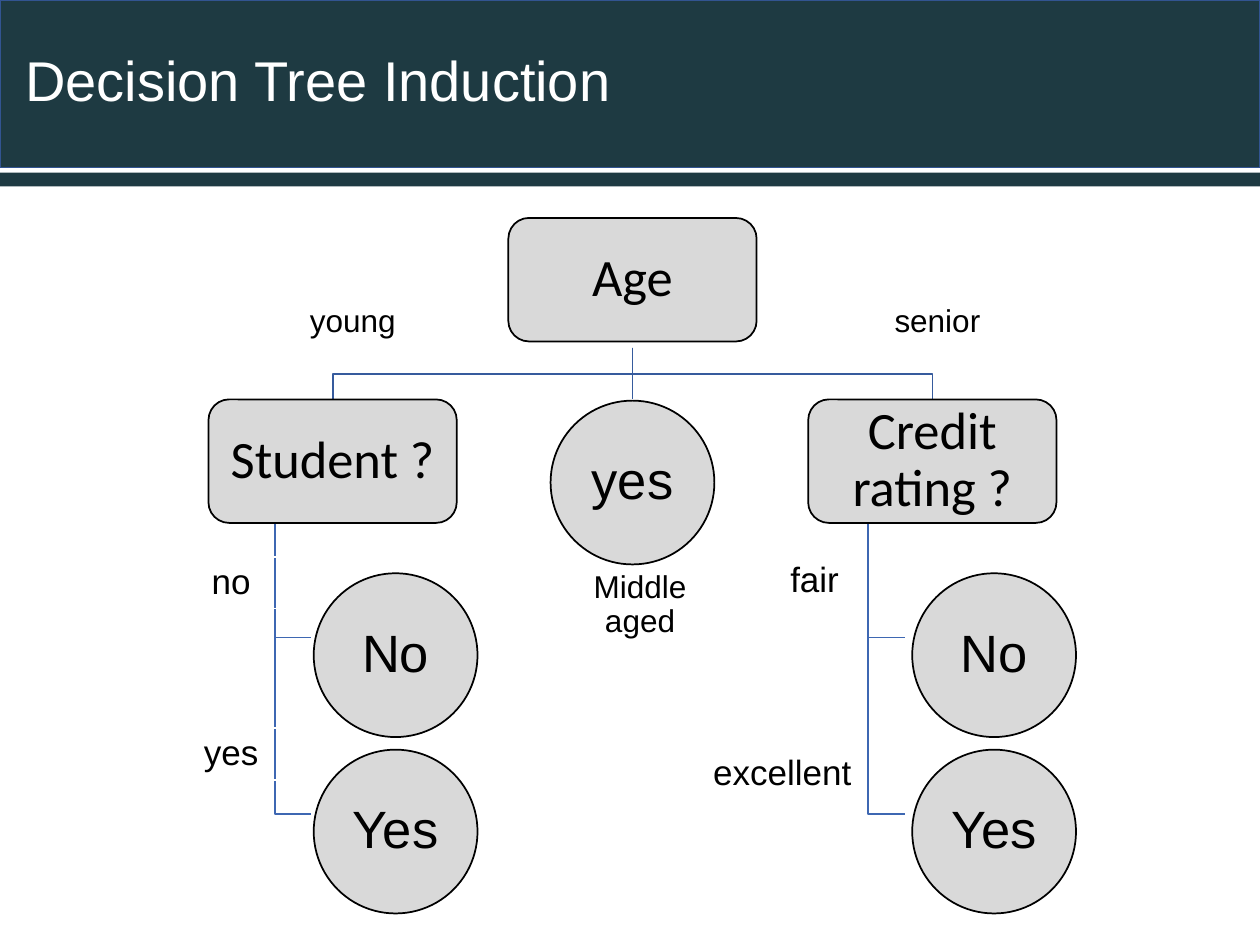
"""Build the decision tree induction slide."""
from lxml import etree
from pptx import Presentation
from pptx.dml.color import RGBColor
from pptx.enum.shapes import MSO_CONNECTOR, MSO_SHAPE
from pptx.enum.text import MSO_ANCHOR, MSO_AUTO_SIZE, PP_ALIGN
from pptx.oxml.ns import qn
from pptx.util import Inches, Pt

RECT, ROUND = MSO_SHAPE.RECTANGLE, MSO_SHAPE.ROUNDED_RECTANGLE
DISC = MSO_SHAPE.FLOWCHART_CONNECTOR
STRAIGHT = MSO_CONNECTOR.STRAIGHT
MIDDLE, NOFIT = MSO_ANCHOR.MIDDLE, MSO_AUTO_SIZE.NONE
LEFT, CENTER = PP_ALIGN.LEFT, PP_ALIGN.CENTER

THEME = {
    "band": "1E3A42", "edge": "325491", "node": "D9D9D9",
    "ink": "000000", "paper": "FFFFFF", "trunk": "365B9D", "twig": "3E67B2",
    "title": 32, "big": 30, "mid": 20, "small": 18,
    "sans": "Arial", "box": "Calibri",
}

TITLE = "Decision Tree Induction"
ROOT = ("Age", 5.02, 1.73)
TESTS = [("Student ?", 2.64), ("Credit rating ?", 7.4)]
MID_LEAF = ("yes", 5.02, 3.18)
LEAVES = [("No", 4.55), ("Yes", 5.95)]
STEMS = [(2.18, 3.14), (6.89, 7.89)]
LABELS = [
    ("young", 2.3, 2.35, 1, "small"),
    ("Middle aged", 4.58, 4.6, 1, "small"),
    ("senior", 6.94, 2.35, 1, "small"),
    ("no", 1.46, 4.42, 0.75, "mid"),
    ("yes", 1.46, 5.78, 0.75, "mid"),
    ("fair", 6.09, 4.41, 0.75, "mid"),
    ("excellent", 5.56, 5.94, 1.3, "mid"),
]
BOX_W, BOX_H, DISC_D, LABEL_H = 1.97, 0.98, 1.3, 0.41
TEST_TOP, FORK_TOP, FORK_MID = 3.17, 2.76, 2.97
TWIG_TOP, TWIG_W, TWIG_DROP = 4.16, 0.29, 0.51


def color(key):
    return RGBColor.from_string(THEME[key])


def outline(shape, key):
    shape.line.color.rgb = color(key)
    shape.line.width = Pt(1)


def write(shape, text, size="big", font="sans", ink="ink", align=CENTER, pad=0.02):
    frame = shape.text_frame
    frame.word_wrap = True
    frame.auto_size = NOFIT
    frame.vertical_anchor = MIDDLE
    frame.margin_left = frame.margin_right = Inches(pad)
    frame.margin_top = frame.margin_bottom = Inches(0.02)
    frame.text = text
    para = frame.paragraphs[0]
    para.alignment = align
    para.line_spacing = 0.9
    para.font.size = Pt(THEME[size])
    para.font.name = THEME[font]
    para.font.color.rgb = color(ink)


def block(shapes, kind, x, y, w, h, fill, line=None):
    shape = shapes.add_shape(kind, Inches(x), Inches(y), Inches(w), Inches(h))
    shape.shadow.inherit = False
    shape.fill.solid()
    shape.fill.fore_color.rgb = color(fill)
    if line:
        outline(shape, line)
    else:
        shape.line.fill.background()
    return shape


def node(shapes, kind, text, mid, y):
    w, h, font = (BOX_W, BOX_H, "box") if kind == ROUND else (DISC_D, DISC_D, "sans")
    shape = block(shapes, kind, mid - w / 2, y, w, h, "node", "ink")
    write(shape, text, font=font)


def route(shapes, points, key):
    spots = [(Inches(x), Inches(y)) for x, y in points]
    pen = shapes.build_freeform(*spots[0])
    pen.add_line_segments(spots[1:], close=False)
    shape = pen.convert_to_shape()
    shape.shadow.inherit = False
    shape.fill.background()
    outline(shape, key)


def head(slide):
    shapes = slide.shapes
    block(shapes, RECT, 0, 0, 10, 1.33, "band", "edge")
    block(shapes, RECT, 0, 1.37, 10, 0.11, "band")
    title = shapes.title
    title.left, title.top = Inches(0.1), Inches(0)
    title.width, title.height = Inches(9.9), Inches(1.33)
    write(title, TITLE, size="title", ink="paper", align=LEFT, pad=0.1)
    title.element.getparent().append(title.element)


def links(shapes):
    mid = ROOT[1]
    for stem, _ in STEMS:
        for _, top in LEAVES:
            low = top + TWIG_DROP
            route(shapes, [(stem, TWIG_TOP), (stem, low), (stem + TWIG_W, low)], "twig")
    for _, x in TESTS:
        route(shapes, [(mid, FORK_TOP), (mid, FORK_MID), (x, FORK_MID), (x, TEST_TOP)], "trunk")
    line = shapes.add_connector(
        STRAIGHT, Inches(mid), Inches(FORK_TOP), Inches(mid), Inches(TEST_TOP))
    outline(line, "trunk")
    etree.SubElement(line.element.spPr, qn("a:effectLst"))


def tree(shapes):
    links(shapes)
    node(shapes, ROUND, *ROOT)
    node(shapes, DISC, *MID_LEAF)
    for (text, x), (_, leaf) in zip(TESTS, STEMS):
        node(shapes, ROUND, text, x, TEST_TOP)
        for word, y in LEAVES:
            node(shapes, DISC, word, leaf, y)
    for text, x, y, w, size in LABELS:
        label = shapes.add_textbox(Inches(x), Inches(y), Inches(w), Inches(LABEL_H))
        outline(label, "paper")
        write(label, text, size=size)


def main():
    deck = Presentation()
    deck.slide_width, deck.slide_height = Inches(10), Inches(7.5)
    slide = deck.slides.add_slide(deck.slide_layouts[5])
    head(slide)
    tree(slide.shapes)
    deck.save("out.pptx")


if __name__ == "__main__":
    main()
